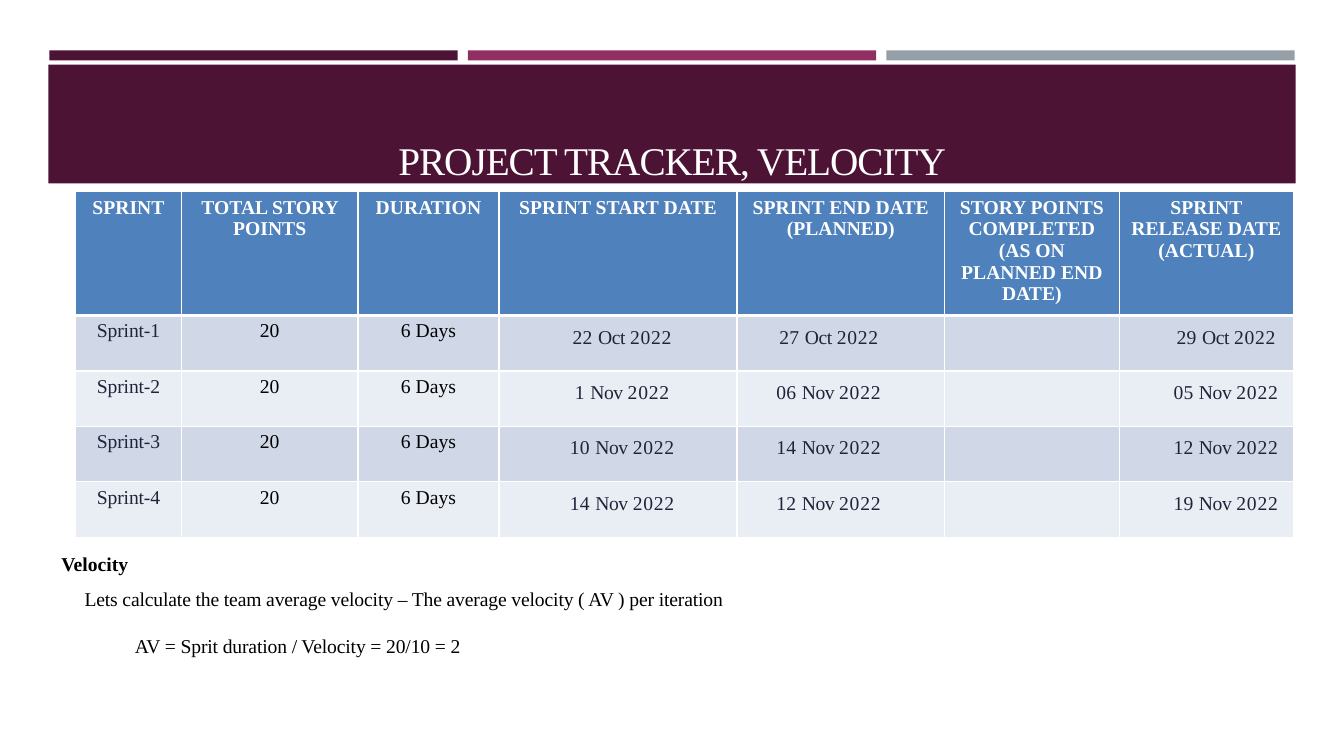
from dataclasses import dataclass

from lxml.etree import SubElement
from pptx import Presentation
from pptx.dml.color import RGBColor as RGB
from pptx.enum.shapes import MSO_SHAPE as SHAPE
from pptx.enum.text import MSO_ANCHOR as ANCHOR, PP_ALIGN as ALIGN
from pptx.oxml.ns import qn
from pptx.util import Inches, Pt


@dataclass(frozen=True)
class Theme:
    font: str = "Times New Roman"
    plum: str = "4D1334"
    magenta: str = "903062"
    gray: str = "959FA7"
    header: str = "4F81BD"
    bands: tuple = ("D0D8E8", "E9EDF4")
    white: str = "FFFFFF"
    black: str = "000000"
    navy: str = "1E2539"
    title: int = 28
    body: int = 14


class TrackerSlide:
    def __init__(self, prs, theme):
        self.theme = theme
        self.slide = prs.slides.add_slide(prs.slide_layouts[6])

    def style(self, r, color, size=None, bold=False, spacing=0):
        r.font.name = self.theme.font
        r.font.size = Pt(size or self.theme.body)
        r.font.bold = bold
        r.font.color.rgb = RGB.from_string(color)
        if spacing:
            r.font._element.set("spc", str(round(spacing * 100)))

    def indent(self, p, left):
        p._p.get_or_add_pPr().set("marL", str(Inches(left)))

    def bar(self, x, y, w, h, color):
        s = self.slide.shapes.add_shape(
            SHAPE.RECTANGLE, Inches(x), Inches(y), Inches(w), Inches(h))
        s.shadow.inherit = False
        s.fill.solid()
        s.fill.fore_color.rgb = RGB.from_string(color)
        s.line.fill.background()
        return s

    def banner(self, x, y, w, h, text):
        tf = self.bar(x, y, w, h, self.theme.plum).text_frame
        tf.margin_left = tf.margin_top = tf.margin_right = tf.margin_bottom = 0
        tf.vertical_anchor = ANCHOR.BOTTOM
        tf.text = text
        p = tf.paragraphs[0]
        p.alignment = ALIGN.CENTER
        self.style(p.runs[0], self.theme.white, self.theme.title, spacing=-0.7)

    def notes(self, x, y, w, h, lines):
        tf = self.slide.shapes.add_textbox(
            Inches(x), Inches(y), Inches(w), Inches(h)).text_frame
        tf.word_wrap = True
        tf.text = "\n".join(text for text, *_ in lines)
        for p, (_, left, before, bold, spacing) in zip(tf.paragraphs, lines):
            self.indent(p, left)
            p.space_before = Pt(before)
            self.style(p.runs[0], self.theme.black, bold=bold, spacing=spacing)

    def table(self, x, y, widths, heights):
        tbl = self.slide.shapes.add_table(
            len(heights), len(widths), Inches(x), Inches(y),
            Inches(sum(widths)), Inches(sum(heights))).table
        for col, w in zip(tbl.columns, widths):
            col.width = Inches(w)
        for row, h in zip(tbl.rows, heights):
            row.height = Inches(h)
        return tbl

    def frame(self, cell, fill, top=1, bottom=1):
        tcPr = cell._tc.get_or_add_tcPr()
        for side, width in (("L", 1), ("R", 1), ("T", top), ("B", bottom)):
            ln = SubElement(tcPr, qn(f"a:ln{side}"), w=str(Pt(width)))
            SubElement(SubElement(ln, qn("a:solidFill")),
                       qn("a:srgbClr"), val=self.theme.white)
        cell.fill.solid()
        cell.fill.fore_color.rgb = RGB.from_string(fill)

    def label(self, cell, text, color, bold=False, spacing=0):
        cell.text = text
        for p in cell.text_frame.paragraphs:
            p.alignment = ALIGN.CENTER
            for r in p.runs:
                self.style(r, color, bold=bold, spacing=spacing)

    def date(self, cell, text, left, align):
        cell.margin_left = cell.margin_right = cell.margin_bottom = 0
        cell.margin_top = Inches(0.11)
        p = cell.text_frame.paragraphs[0]
        p.alignment = align
        self.indent(p, left)
        day, month, year = text.split()
        for part, spacing in ((f"{day} ", 0.2), (f"{month} ", -0.3), (year, 0.5)):
            r = p.add_run()
            r.text = part
            self.style(r, self.theme.navy, spacing=spacing)


HEADERS = ["SPRINT", "TOTAL STORY POINTS", "DURATION", "SPRINT START DATE",
           "SPRINT END DATE (PLANNED)",
           "STORY POINTS COMPLETED (AS ON PLANNED END DATE)",
           "SPRINT RELEASE DATE\n(ACTUAL)"]
SPRINT_DATES = [
    ("22 Oct 2022", "27 Oct 2022", "29 Oct 2022"),
    ("1 Nov 2022", "06 Nov 2022", "05 Nov 2022"),
    ("10 Nov 2022", "14 Nov 2022", "12 Nov 2022"),
    ("14 Nov 2022", "12 Nov 2022", "19 Nov 2022"),
]
DATE_COLUMNS = [(3, 0.08, ALIGN.CENTER), (4, 0.39, ALIGN.LEFT), (6, 0.54, ALIGN.LEFT)]
VELOCITY_NOTES = [
    ("Velocity", 0.01, 10.1, True, 0),
    ("Lets calculate the team average velocity – The average velocity ( AV ) per iteration",
     0.24, 7.7, False, -0.1),
    ("AV = Sprit duration / Velocity = 20/10 = 2", 0.74, 17, False, -0.1),
]


def main():
    theme = Theme()
    prs = Presentation()
    prs.slide_width, prs.slide_height = Inches(13.33), Inches(7.5)
    page = TrackerSlide(prs, theme)

    for i, color in enumerate((theme.plum, theme.magenta, theme.gray)):
        page.bar(0.49 + 4.15 * i, 0.5, 4.05, 0.1, color)

    tbl = page.table(0.75, 1.9, [1.05, 1.75, 1.4, 2.36, 2.06, 1.73, 1.73],
                     [1.23] + [0.55] * len(SPRINT_DATES))
    for col, text in enumerate(HEADERS):
        page.frame(tbl.cell(0, col), theme.header, bottom=3)
        page.label(tbl.cell(0, col), text, theme.white, bold=True)
    for row, dates in enumerate(SPRINT_DATES, 1):
        for col in range(len(HEADERS)):
            page.frame(tbl.cell(row, col), theme.bands[(row - 1) % 2],
                       top=3 if row == 1 else 1)
        page.label(tbl.cell(row, 0), f"Sprint-{row}", theme.navy, spacing=-0.1)
        page.label(tbl.cell(row, 1), "20", theme.black)
        page.label(tbl.cell(row, 2), "6 Days", theme.black)
        for text, (col, left, align) in zip(dates, DATE_COLUMNS):
            shift = 0.03 if "Oct" in text and align == ALIGN.LEFT else 0
            page.date(tbl.cell(row, col), text, left + shift, align)

    page.notes(0.5, 5.43, 10.5, 1.16, VELOCITY_NOTES)
    page.banner(0.48, 0.64, 12.37, 1.18, "PROJECT TRACKER, VELOCITY")
    prs.save("out.pptx")


if __name__ == "__main__":
    main()
